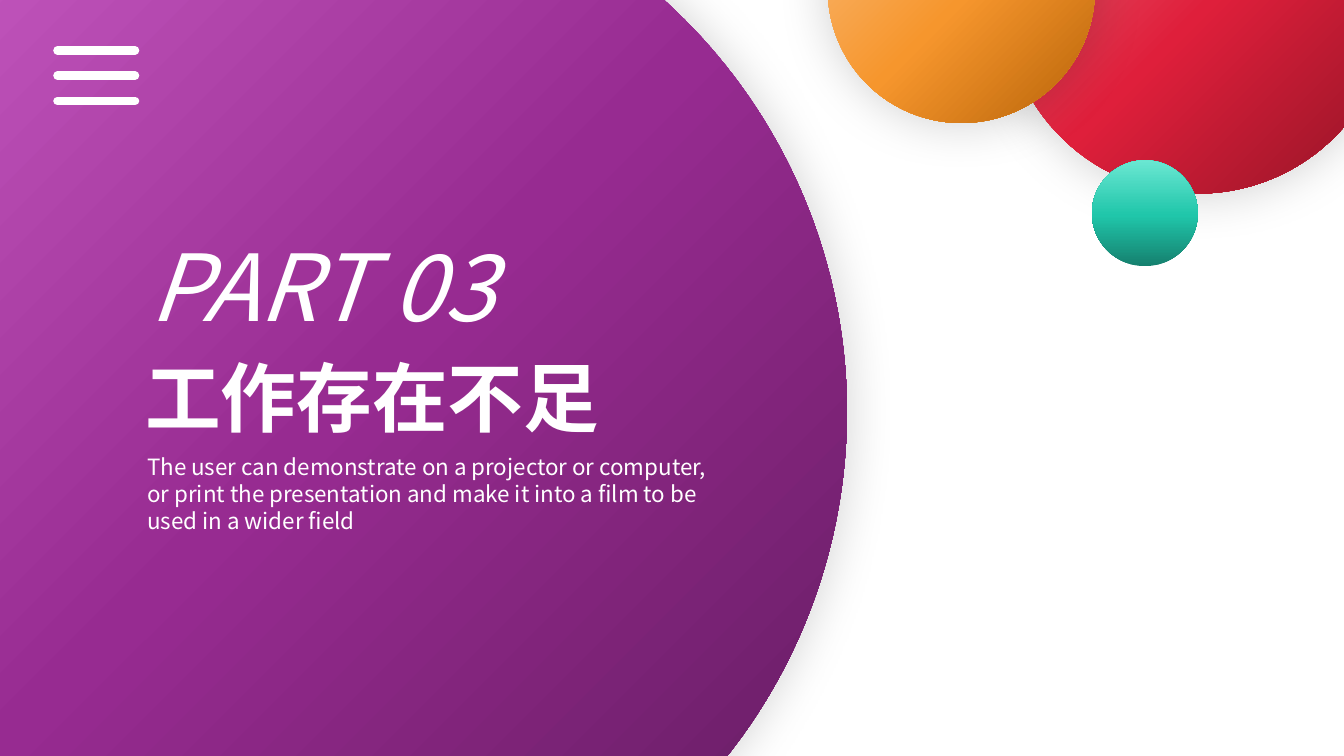
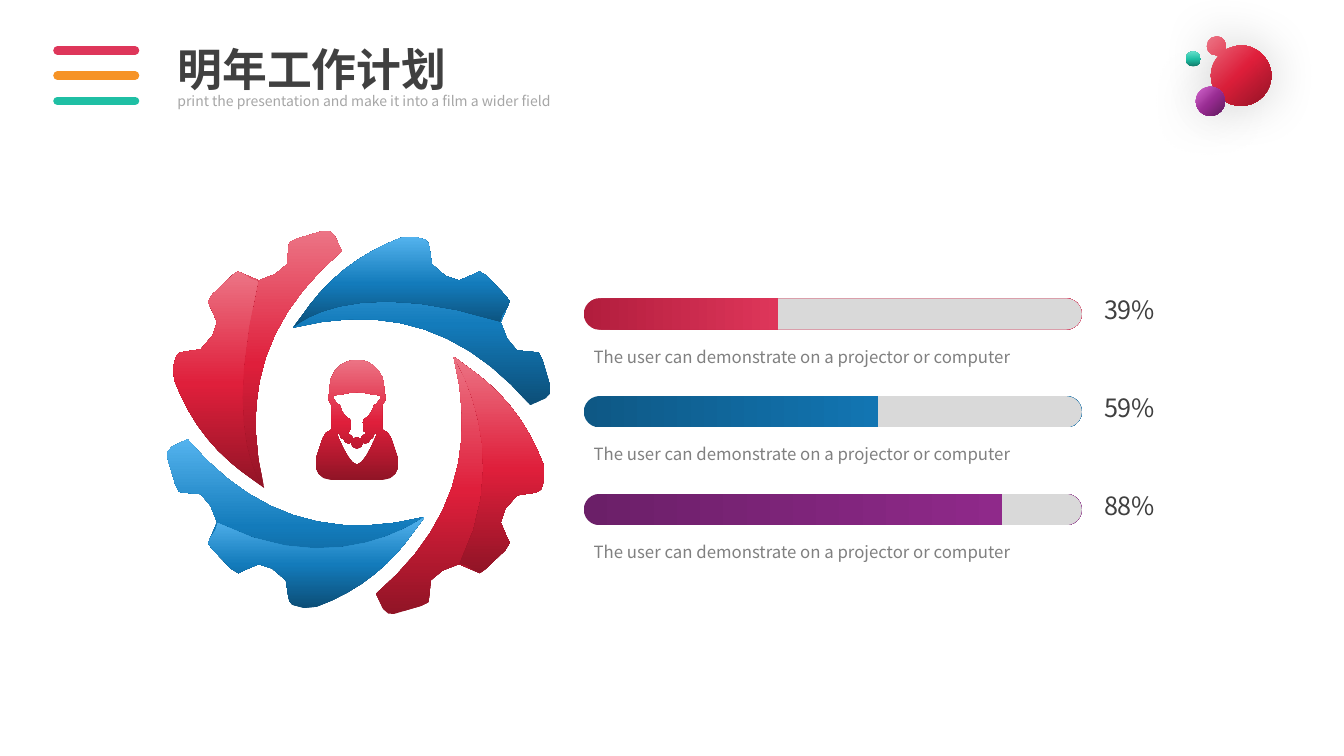
from math import ceil, dist

from pptx import Presentation
from pptx.dml.color import RGBColor
from pptx.enum.shapes import MSO_CONNECTOR as Link, MSO_SHAPE as Form
from pptx.enum.text import MSO_ANCHOR as Anchor, MSO_AUTO_SIZE as Auto, PP_ALIGN as Align
from pptx.oxml import parse_xml
from pptx.oxml.ns import nsdecls, qn
from pptx.util import Inches, Pt

FONT = "Noto Sans CJK SC"
HEX = {
    "white": "FFFFFF", "ink": "404040", "grey": "808080", "pale": "A6A6A6",
    "track": "D9D9D9", "rose": "DE365A", "amber": "F69326", "mint": "1FBFA4",
    "wine": "B21D3D", "navy": "0E5885", "sea": "1275B2", "plum": "6B1F68",
    "grape": "8F298A",
}
# Dark, middle and light tone of each gradient
TONES = {
    "red": ("911426", "DF1F3B", "EC7485"),
    "purple": ("601B5C", "972B91", "D367CE"),
    "orange": ("B76308", "F6962D", "FABE7D"),
    "green": ("15806E", "20C6AA", "6AE7D2"),
    "blue": ("0C4E77", "137BBB", "54B3EE"),
}
UP = '<a:lin ang="16200000" scaled="0"/>'
ACROSS = '<a:lin ang="0" scaled="0"/>'
CORNER = '<a:path path="circle"><a:fillToRect l="100000" t="100000"/></a:path>'

# Paths: two numbers are a line's end, six are a curve. Blades are measured from the hub.
TIP = (-0.94, 0.65)
INNER = [(-0.17, -1.7), (-0.91, -1.07, -1.18, -0.31, *TIP)]
RIM = [
    (-1.06, 0.56, -1.18, 0.48, -1.28, 0.39), (-1.53, 0.17, -1.71, -0.1, -1.83, -0.42),
    (-1.87, -0.51, -1.83, -0.58, -1.81, -0.66), (-1.8, -0.68, -1.76, -0.7, -1.73, -0.7),
    (-1.6, -0.68, -1.52, -0.73, -1.45, -0.86), (-1.4, -0.96, -1.38, -1.03, -1.46, -1.12),
    (-1.52, -1.17, -1.5, -1.22, -1.45, -1.27), (-1.25, -1.46),
    (-1.22, -1.5, -1.18, -1.51, -1.14, -1.47),
]
CROWN = [
    (-1.04, -1.37, -0.95, -1.4, -0.83, -1.47), (-0.72, -1.53, -0.67, -1.59, -0.7, -1.71),
    (-0.71, -1.77, -0.69, -1.81, -0.62, -1.82), (-0.35, -1.9),
    (-0.31, -1.91, -0.27, -1.9, -0.24, -1.85),
]
NOTCH = (-1.09, -1.43, -1.05, -1.4, -1.0, -1.4)
BENDS = [(-1.38, 0.21), (-1.48, 0.12), (-1.56, -0.29), (-1.6, -0.21)]

# Right halves of the figure, from its top left corner
BODY = [
    (0.41, 0), (0.56, 0, 0.68, 0.12, 0.68, 0.27), (0.68, 0.32),
    (0.69, 0.34, 0.7, 0.37, 0.69, 0.4), (0.66, 0.45),
    (0.66, 0.69), (0.7, 0.7, 0.74, 0.74, 0.75, 0.78), (0.82, 0.99),
    (0.83, 1.04, 0.82, 1.09, 0.79, 1.13), (0.76, 1.17, 0.72, 1.19, 0.67, 1.19),
]
BEADS = [
    (0.41, 0.88), (0.44, 0.88, 0.47, 0.85, 0.47, 0.82), (0.49, 0.83),
    (0.52, 0.83, 0.54, 0.81, 0.54, 0.79), (0.56, 0.78, 0.58, 0.77, 0.58, 0.74),
    (0.57, 0.73), (0.61, 0.73), (0.58, 0.81, 0.48, 1.04, 0.41, 1.04),
]
FACE = [
    (0.41, 0.32), (0.51, 0.32, 0.59, 0.36, 0.64, 0.35), (0.64, 0.39),
    (0.6, 0.44), (0.58, 0.45), (0.56, 0.52, 0.53, 0.57, 0.48, 0.59),
    (0.47, 0.62), (0.48, 0.71), (0.5, 0.72), (0.49, 0.74),
    (0.47, 0.74, 0.45, 0.76, 0.45, 0.78), (0.41, 0.77),
]
# Two merged bubbles, from the top left corner of their cluster
TWINS = [
    (0.31, 0), (0.36, 0, 0.4, 0.04, 0.4, 0.1), (0.4, 0.13),
    (0.45, 0.11, 0.5, 0.09, 0.55, 0.09), (0.71, 0.09, 0.85, 0.23, 0.85, 0.39),
    (0.85, 0.56, 0.71, 0.69, 0.55, 0.69), (0.38, 0.69, 0.25, 0.56, 0.25, 0.39),
    (0.25, 0.33, 0.27, 0.27, 0.3, 0.23), (0.33, 0.19), (0.31, 0.19),
    (0.25, 0.19, 0.21, 0.15, 0.21, 0.1), (0.21, 0.04, 0.25, 0, 0.31, 0),
]


def rgb(name):
    return RGBColor.from_string(HEX[name])


def write(frame, text, size, color, bold=False, italic=False, align=Align.LEFT,
          lead=None, inset=None, wrap=True):
    frame.word_wrap, frame.auto_size = wrap, Auto.NONE
    frame.vertical_anchor = Anchor.TOP
    if inset is not None:
        frame.margin_left = frame.margin_right = Inches(inset)
        frame.margin_top = frame.margin_bottom = Inches(inset)
    para = frame.paragraphs[0]
    para.alignment, para.space_before = align, Pt(0)
    if lead:
        para.line_spacing = lead
    run = para.add_run()
    run.text = text
    font = run.font
    font.name, font.size, font.bold, font.italic = FONT, Pt(size), bold, italic
    font.color.rgb = rgb(color)
    face = parse_xml(f'<a:ea {nsdecls("a")} typeface="{FONT}"/>')
    font._element.find(qn("a:latin")).addnext(face)


def label(slide, box, text, size, color, **style):
    area = slide.shapes.add_textbox(*map(Inches, box))
    write(area.text_frame, text, size, color, **style)


def hold(slide, spot, box, text, size, color, **style):
    """Fill a placeholder and bring it to the front."""
    area = slide.placeholders[spot]
    area.left, area.top, area.width, area.height = map(Inches, box)
    write(area.text_frame, text, size, color, **style)
    slide.shapes._spTree.append(area._element)


def paint(shape, stops, way, glow=False):
    """Give a shape a gradient, no line and, with glow, a soft shadow."""
    shape.fill.background()
    shape.line.fill.background()
    shape.shadow.inherit = False
    props = shape._element.spPr
    marks = "".join(f'<a:gs pos="{spot * 1000}"><a:srgbClr val="{tone}"/></a:gs>'
                    for spot, tone in stops)
    grad = parse_xml(f'<a:gradFill {nsdecls("a")} rotWithShape="1">'
                     f'<a:gsLst>{marks}</a:gsLst>{way}</a:gradFill>')
    props.replace(props.find(qn("a:noFill")), grad)
    if glow:
        props.find(qn("a:effectLst")).append(parse_xml(
            f'<a:outerShdw {nsdecls("a")} blurRad="{Pt(37)}" algn="ctr" rotWithShape="0">'
            '<a:srgbClr val="000000"><a:alpha val="18000"/></a:srgbClr></a:outerShdw>'))


def tint(shape, tone, way=UP, glow=False):
    paint(shape, zip((0, 48, 100), TONES[tone]), way, glow)


def ball(slide, left, top, size, tone, way=CORNER, glow=True):
    box = map(Inches, (left, top, size, size))
    tint(slide.shapes.add_shape(Form.OVAL, *box), tone, way, glow)


def trace(path, rate=6):
    """Turn a path into points, with rate points to an inch of curve."""
    dots = [path[0]]
    for part in path[1:]:
        if len(part) == 2:
            dots.append(part)
            continue
        knots = [dots[-1], part[:2], part[2:4], part[4:]]
        steps = min(10, max(2, ceil(rate * dist(knots[0], knots[3]))))
        for step in range(1, steps + 1):
            t = step / steps
            s = 1 - t
            mix = (s ** 3, 3 * s * s * t, 3 * s * t * t, t ** 3)
            dots.append(tuple(sum(m * k[axis] for m, k in zip(mix, knots))
                              for axis in (0, 1)))
    return dots


def outline(slide, left, top, loops):
    pen = None
    for loop in loops:
        dots = [(Inches(x), Inches(y)) for x, y in loop]
        if pen is None:
            pen = slide.shapes.build_freeform(*dots[0], scale=1.0)
        else:
            pen.move_to(*dots[0])
        pen.add_line_segments(dots[1:], close=True)
    return pen.convert_to_shape(Inches(left), Inches(top))


def turn(dots, count):
    """Rotate points clockwise by quarter turns."""
    for _ in range(count):
        dots = [(-y, x) for x, y in dots]
    return dots


def gear(slide, x, y):
    blade = INNER + RIM + CROWN
    for count, bend in enumerate(BENDS):
        fold = [TIP] + RIM + [NOTCH, (*bend, *TIP, *TIP)]
        for path in (blade, fold):
            part = outline(slide, x, y, [turn(trace(path), count)])
            tint(part, ("red", "blue")[count % 2])


def figure(slide, left, top):
    loops = []
    for path in (BODY, BEADS, FACE):
        half = trace(path, 12)
        loops.append(half + [(0.82 - x, y) for x, y in reversed(half)])
    tint(outline(slide, left, top, loops), "red")


def menu(slide, left, top, colors):
    for row, color in enumerate(colors):
        y = Inches(top + 0.25 * row)
        bar = slide.shapes.add_connector(Link.STRAIGHT, Inches(left), y,
                                         Inches(left + 0.77), y)
        bar.line.width = Pt(6)
        bar.line.color.rgb = rgb(color)
        bar.line._get_or_add_ln().set("cap", "rnd")
        bar._element.spPr.append(parse_xml(f'<a:effectLst {nsdecls("a")}/>'))


def cluster(slide, left, top):
    ball(slide, left, top + 0.15, 0.15, "green", UP, False)
    twins = outline(slide, left, top, [trace(TWINS, 20)])
    tint(twins, "red", CORNER, True)
    ball(slide, left + 0.1, top + 0.5, 0.29, "purple")


def meter(slide, left, top, value, fill, start, end):
    bar = slide.shapes.add_shape(Form.ROUNDED_RECTANGLE, Inches(left), Inches(top),
                                 Inches(4.94), Inches(0.31))
    bar.adjustments[0] = 0.5
    track = HEX["track"]
    paint(bar, [(0, HEX[start]), (fill, HEX[end]), (fill, track), (100, track)], ACROSS)
    label(slide, (left + 5.16, top - 0.04, 0.73, 0.45), value, 18, "ink",
          inset=0, wrap=False)
    label(slide, (left, top + 0.4, 5.1, 0.33),
          "The user can demonstrate on a projector or computer", 12, "grey",
          align=Align.JUSTIFY, lead=1.14)


def divider(slide):
    ball(slide, 9.96, -1.92, 3.84, "red")
    ball(slide, -2.61, -1.42, 11.01, "purple")
    ball(slide, 8.21, -1.43, 2.65, "orange")
    ball(slide, 10.83, 1.59, 1.05, "green", UP, False)
    label(slide, (1.38, 2.22, 3.81, 1.21), "PART 03", 66, "white", italic=True, wrap=False)
    hold(slide, 0, (1.34, 3.43, 6.89, 1.01), "工作存在不足", 54, "white", bold=True)
    hold(slide, 1, (1.36, 4.45, 5.89, 0.91),
         "The user can demonstrate on a projector or computer, or print the presentation "
         "and make it into a film to be used in a wider field", 16, "white")
    menu(slide, 0.57, 0.5, ["white"] * 3)


def plan(slide):
    gear(slide, 3.56, 4.19)
    figure(slide, 3.13, 3.57)
    rows = [("39%", 39, "wine", "rose"), ("59%", 59, "navy", "sea"),
            ("88%", 84, "plum", "grape")]
    for row, data in enumerate(rows):
        meter(slide, 5.79, 2.96 + 0.97 * row, *data)
    menu(slide, 0.57, 0.5, ["rose", "amber", "mint"])
    cluster(slide, 11.76, 0.36)
    hold(slide, 0, (1.66, 0.36, 2.89, 0.64), "明年工作计划", 32, "ink", bold=True, wrap=False)
    hold(slide, 1, (1.66, 0.87, 4.33, 0.27),
         "print the presentation and make it into a film a wider field", 10, "pale",
         align=Align.JUSTIFY)


def main():
    deck = Presentation()
    deck.slide_width, deck.slide_height = Inches(13.33), Inches(7.5)
    for build in (divider, plan):
        build(deck.slides.add_slide(deck.slide_layouts[2]))
    deck.save("out.pptx")


if __name__ == "__main__":
    main()
